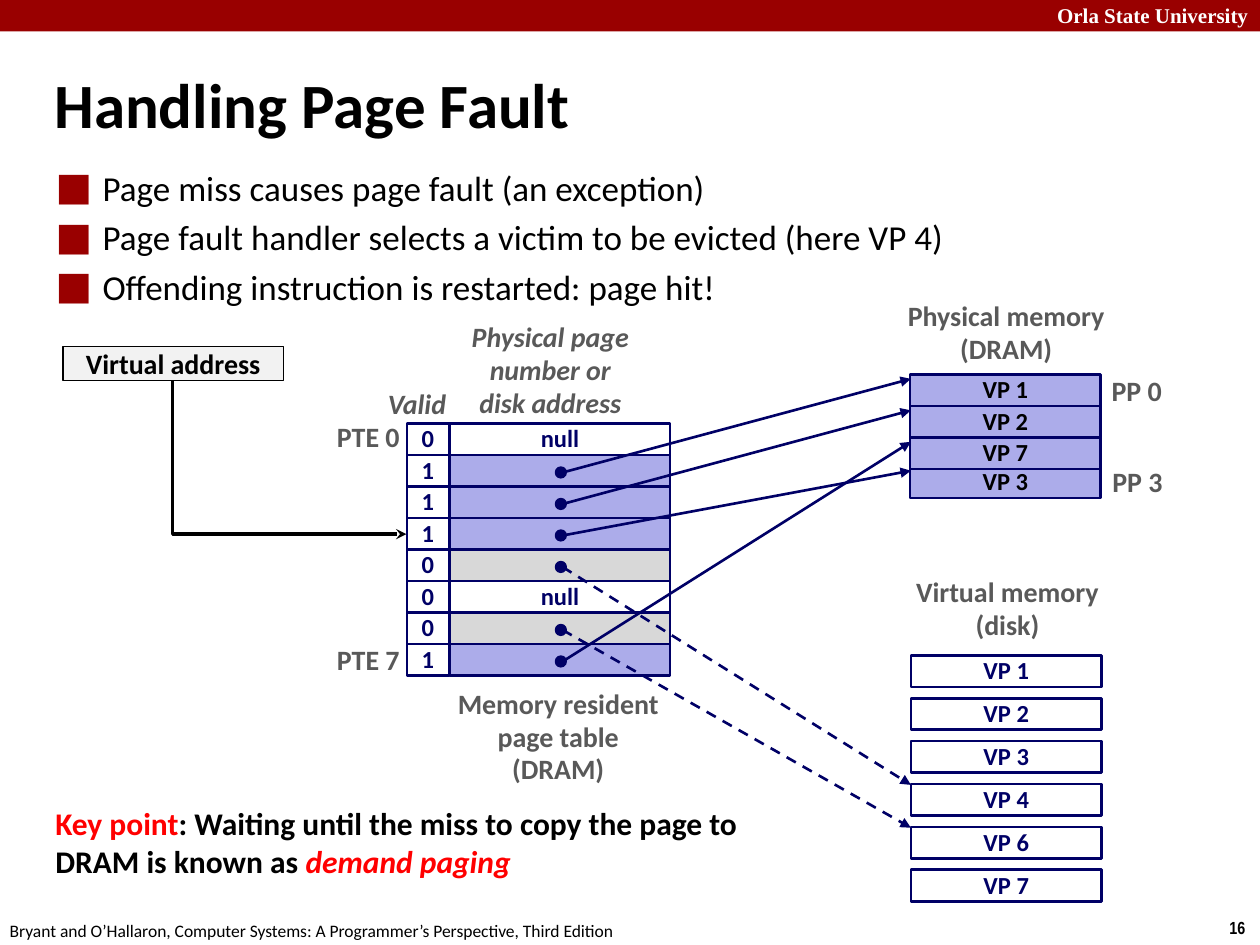
import pptx
import pptx.dml.color
import pptx.enum.dml
import pptx.enum.shapes
import pptx.enum.text
import pptx.oxml
import pptx.oxml.ns
import pptx.util

Pt = pptx.util.Pt
RGBColor = pptx.dml.color.RGBColor
ALIGN = pptx.enum.text.PP_ALIGN
ANCHOR = pptx.enum.text.MSO_ANCHOR
SHAPE = pptx.enum.shapes.MSO_SHAPE
CONNECTOR = pptx.enum.shapes.MSO_CONNECTOR

CRIMSON = RGBColor(0x99, 0x00, 0x00)
RED = RGBColor(0xFF, 0x00, 0x00)
NAVY = RGBColor(0x00, 0x00, 0x66)
LILAC = RGBColor(0xAC, 0xAC, 0xEA)
SILVER = RGBColor(0xD8, 0xD8, 0xD8)
PALE = RGBColor(0xF2, 0xF2, 0xF2)
GREY = RGBColor(0x59, 0x59, 0x59)
BLACK = RGBColor(0x00, 0x00, 0x00)
WHITE = RGBColor(0xFF, 0xFF, 0xFF)

ROW = 18
TABLE_TOP = 242
VALID_LEFT, VALID_WIDTH = 232.5, 24
ENTRY_LEFT, ENTRY_WIDTH = 257, 126
MEMORY_LEFT, MEMORY_WIDTH = 520, 109
DOT_X, DOT_SIZE = 320.5, 6

PHYSICAL_PAGES = ["VP 1", "VP 2", "VP 7", "VP 3"]
PHYSICAL_TOPS = [214, 232, 250, 266.5]
DISK_PAGES = ["VP 1", "VP 2", "VP 3", "VP 4", "VP 6", "VP 7"]
DISK_TOPS = [374.5 + 24.5 * index for index in range(len(DISK_PAGES))]

# Each entry: valid bit and the page it points to (None for a null entry)
PAGE_TABLE = [(0, None), (1, "VP 1"), (1, "VP 2"), (1, "VP 3"),
              (0, "VP 4"), (0, None), (0, "VP 6"), (1, "VP 7")]


def style_span(span, size, color, bold=True, italic=False, font="Calibri"):
    span.font.name = font
    span.font.size = Pt(size)
    span.font.color.rgb = color
    span.font.bold = bold
    span.font.italic = italic


def fill_text(frame, text, size, color, align=ALIGN.CENTER, spacing=None, **style):
    frame.text = text
    for para in frame.paragraphs:
        para.alignment = align
        para.line_spacing = spacing
        for span in para.runs:
            style_span(span, size, color, **style)


def add_text(page, area, text, size, color, align=ALIGN.LEFT, wrap=False,
             anchor=ANCHOR.TOP, **style):
    box = page.shapes.add_textbox(*map(Pt, area))
    box.text_frame.word_wrap = wrap
    box.text_frame.vertical_anchor = anchor
    fill_text(box.text_frame, text, size, color, align, **style)
    return box


def add_label(page, area, text, align=ALIGN.CENTER, italic=False):
    add_text(page, area, text, 16, GREY, align, spacing=0.98, italic=italic)


def add_block(page, area, fill=None, line=NAVY, weight=1.5, kind=SHAPE.RECTANGLE):
    block = page.shapes.add_shape(kind, *map(Pt, area))
    block.shadow.inherit = False
    if fill is None:
        block.fill.background()
    else:
        block.fill.solid()
        block.fill.fore_color.rgb = fill
    if line is None:
        block.line.fill.background()
    else:
        block.line.color.rgb = line
        block.line.width = Pt(weight)
    return block


def add_cell(page, area, text, fill=None, color=NAVY):
    cell = add_block(page, area, fill)
    cell.text_frame.vertical_anchor = ANCHOR.MIDDLE
    fill_text(cell.text_frame, text, 14, color, spacing=0.98)


def add_arrow(page, start, end, color=NAVY, weight=1.5, head="triangle",
              dashed=False, kind=CONNECTOR.STRAIGHT):
    arrow = page.shapes.add_connector(kind, *map(Pt, (*start, *end)))
    arrow.line.color.rgb = color
    arrow.line.width = Pt(weight)
    if dashed:
        arrow.line.dash_style = pptx.enum.dml.MSO_LINE.DASH
    tail = pptx.oxml.parse_xml(
        f'<a:tailEnd {pptx.oxml.ns.nsdecls("a")} type="{head}"/>')
    arrow.line._get_or_add_ln().append(tail)
    properties = arrow._element.spPr
    properties.append(pptx.oxml.parse_xml(f'<a:effectLst {pptx.oxml.ns.nsdecls("a")}/>'))
    return properties


def add_bullets(page, area, lines):
    box = add_text(page, area, "\n".join(lines), 20, BLACK, wrap=True, bold=False,
                   spacing=Pt(24.4))
    for index, para in enumerate(box.text_frame.paragraphs):
        para.space_before = Pt(4 if index else 0)
        properties = para._p.get_or_add_pPr()
        properties.set("marL", str(Pt(27)))
        properties.set("indent", str(Pt(-27)))
        for tag in (f'<a:buClr {{}}><a:srgbClr val="{CRIMSON}"/></a:buClr>',
                    '<a:buSzPct {} val="175000"/>',
                    '<a:buFont {} typeface="Arial"/>',
                    '<a:buChar {} char="■"/>'):
            properties.append(pptx.oxml.parse_xml(tag.format(pptx.oxml.ns.nsdecls("a"))))


def add_key_point(page):
    box = add_text(page, (24.5, 456, 456, 51), "", 18, BLACK, wrap=True)
    para = box.text_frame.paragraphs[0]
    for text, color, italic in (
            ("Key point", RED, False),
            (": Waiting until the miss to copy the page to DRAM is known as ", BLACK, False),
            ("demand paging", RED, True)):
        span = para.add_run()
        span.text = text
        style_span(span, 18, color, italic=italic)


def add_memories(page):
    for top, name in reversed(list(zip(PHYSICAL_TOPS, PHYSICAL_PAGES))):
        add_cell(page, (MEMORY_LEFT, top, MEMORY_WIDTH, ROW), name, LILAC, BLACK)
    for top, name in zip(DISK_TOPS, DISK_PAGES):
        add_cell(page, (MEMORY_LEFT + 0.5, top, MEMORY_WIDTH, ROW), name, WHITE)


def add_page_table(page):
    for index, (valid, target) in enumerate(PAGE_TABLE):
        top = TABLE_TOP + ROW * index
        add_cell(page, (VALID_LEFT, top, VALID_WIDTH, ROW), str(valid))
        entry = (ENTRY_LEFT, top, ENTRY_WIDTH, ROW)
        if target is None:
            add_cell(page, entry, "null", WHITE)
        else:
            add_block(page, entry, LILAC if valid else SILVER)


def add_pointers(page):
    """Link every mapped entry to its page: solid to DRAM, dashed to disk."""
    physical = dict(zip(PHYSICAL_PAGES, PHYSICAL_TOPS))
    disk = dict(zip(DISK_PAGES, DISK_TOPS))
    for index, (valid, target) in enumerate(PAGE_TABLE):
        if target is None:
            continue
        middle = TABLE_TOP + ROW * (index + 0.5) + 1
        end = physical[target] + 2.5 if valid else disk[target] + 0.5
        add_arrow(page, (DOT_X + 1, middle), (MEMORY_LEFT + 0.5, end), dashed=not valid)
        add_block(page, (DOT_X - DOT_SIZE / 2, middle - DOT_SIZE / 2, DOT_SIZE, DOT_SIZE),
                  NAVY, weight=1, kind=SHAPE.OVAL)


def add_virtual_address(page):
    block = add_block(page, (36, 198, 126, 19.5), PALE, BLACK, 1)
    block.text_frame.vertical_anchor = ANCHOR.MIDDLE
    fill_text(block.text_frame, "Virtual address", 16, BLACK)
    # A one-bend connector, turned so that it runs down and then right
    properties = add_arrow(page, (209.5, 194.5), (121.5, 328), BLACK, 2, "stealth",
                           kind=CONNECTOR.ELBOW)
    properties.find(pptx.oxml.ns.qn("a:prstGeom")).set("prst", "bentConnector2")
    properties.find(pptx.oxml.ns.qn("a:xfrm")).set("rot", str(270 * 60000))


def add_labels(page):
    add_label(page, (252.5, 389.5, 133, 64), "Memory resident\npage table\n(DRAM)")
    add_label(page, (511, 168, 128, 45), "Physical memory\n(DRAM)")
    add_label(page, (515, 325.5, 121.5, 45), "Virtual memory\n(disk)")
    add_label(page, (214.5, 218, 54, 26.5), "Valid", ALIGN.LEFT, italic=True)
    add_label(page, (262, 180, 105, 64), "Physical page\nnumber or\ndisk address", italic=True)
    add_label(page, (185, 237, 50.5, 26.5), "PTE 0", ALIGN.RIGHT)
    add_label(page, (185, 364.5, 50.5, 26.5), "PTE 7", ALIGN.RIGHT)
    add_label(page, (628, 211, 43, 26.5), "PP 0")
    add_label(page, (628.5, 263, 43, 26.5), "PP 3")


def add_frame(page):
    add_block(page, (0, 0, 720, 18), CRIMSON, None)
    add_text(page, (597, -2, 128, 21.5), "Orla State University", 12, WHITE,
             font="Times New Roman")
    add_text(page, (695.5, 520.5, 24.5, 19.5), "16", 10, BLACK, font="Arial Narrow")
    add_text(page, (-1.5, 522, 366, 19.5),
             "Bryant and O’Hallaron, Computer Systems: A Programmer’s Perspective, Third Edition",
             10, BLACK, bold=False)


def main():
    deck = pptx.Presentation()
    deck.slide_width, deck.slide_height = Pt(720), Pt(540)
    page = deck.slides.add_slide(deck.slide_layouts[6])
    add_frame(page)
    add_text(page, (24, 28, 652, 62), "Handling Page Fault", 36, BLACK, wrap=True,
             anchor=ANCHOR.MIDDLE)
    add_bullets(page, (24.5, 91, 654.5, 60), [
        "Page miss causes page fault (an exception)",
        "Page fault handler selects a victim to be evicted (here VP 4)",
        "Offending instruction is restarted: page hit!"])
    add_page_table(page)
    add_memories(page)
    add_pointers(page)
    add_labels(page)
    add_virtual_address(page)
    add_key_point(page)
    deck.save("out.pptx")


if __name__ == "__main__":
    main()
